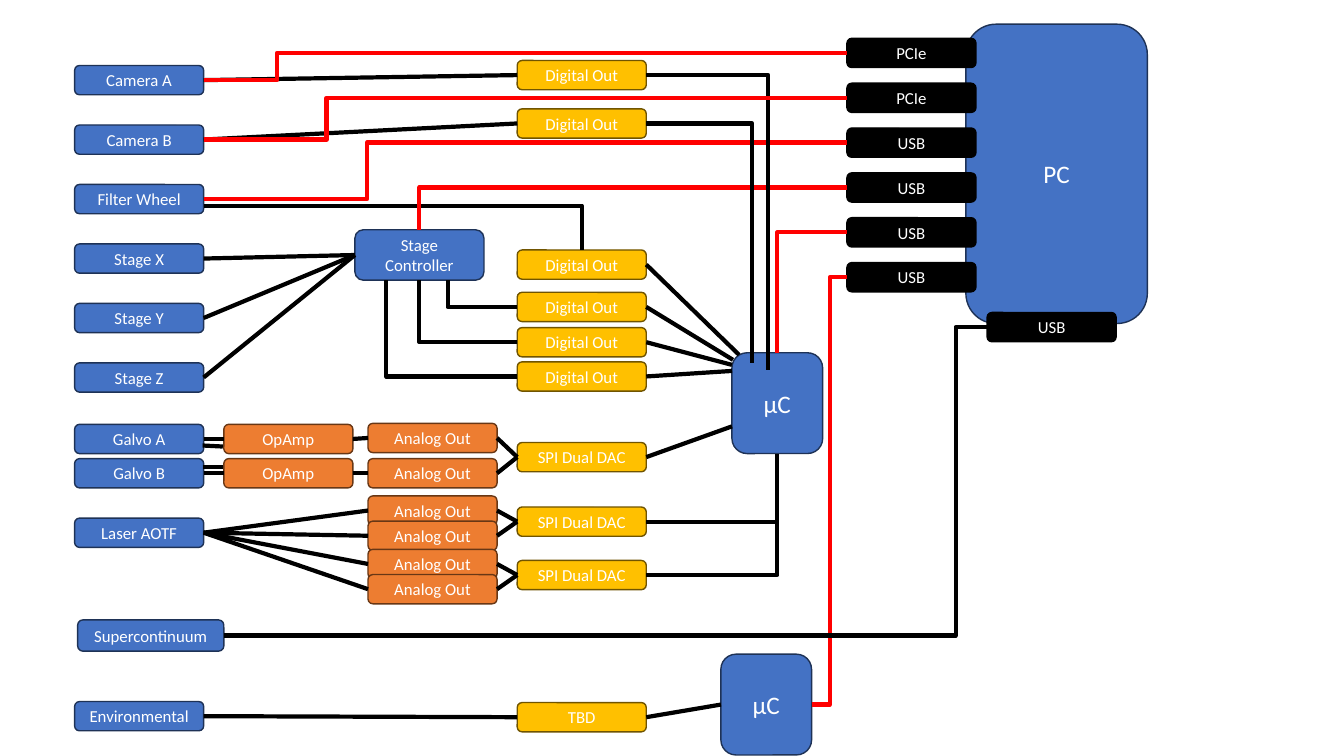
from lxml import etree
from pptx import Presentation
from pptx import util as u
from pptx.dml.color import RGBColor
from pptx.enum import shapes, text
from pptx.oxml.ns import qn

BLUE, NAVY = RGBColor(0x44, 0x72, 0xC4), RGBColor(0x1E, 0x32, 0x56)
GOLD, BROWN = RGBColor(0xFF, 0xC0, 0x00), RGBColor(0x70, 0x54, 0x00)
ORANGE, RUST = RGBColor(0xED, 0x7D, 0x31), RGBColor(0x68, 0x37, 0x15)
BLACK, WHITE = RGBColor(0, 0, 0), RGBColor(0xFF, 0xFF, 0xFF)
RED = RGBColor(0xFF, 0, 0)
FONT = "Calibri"
BOX_WIDTH, BOX_HEIGHT = 1.28, 0.29
TOP, LEFT, BOTTOM, RIGHT = range(4)

# Columns of the grid: left edges in inches
DEVICE, AMPLIFIER, ANALOG, DIGITAL, PORT = 0.74, 2.22, 3.65, 5.13, 8.4
DEVICE_TOP, DEVICE_STEP = 0.65, 0.59
PORT_TOP, PORT_STEP = 0.38, 0.445

# Text after "#" tells equal labels apart and is not shown
EVEN_COLUMNS = [
    (DEVICE, DEVICE_TOP, DEVICE_STEP, BLUE, NAVY,
     ["Camera A", "Camera B", "Filter Wheel", "Stage X", "Stage Y", "Stage Z"]),
    (PORT, PORT_TOP, PORT_STEP, BLACK, BLACK,
     ["PCIe#1", "PCIe#2", "USB#1", "USB#2", "USB#3", "USB#4"]),
]
FREE_COLUMNS = [
    (DEVICE, BLUE, NAVY, {"Galvo A": 4.21, "Galvo B": 4.55, "Laser AOTF": 5.14,
                          "Environmental": 6.96}),
    (AMPLIFIER, ORANGE, RUST, {"OpAmp#1": 4.21, "OpAmp#2": 4.55}),
    (ANALOG, ORANGE, RUST, {
        "Analog Out#1": 4.2, "Analog Out#2": 4.55, "Analog Out#3": 4.92,
        "Analog Out#4": 5.17, "Analog Out#5": 5.45, "Analog Out#6": 5.7}),
    (DIGITAL, GOLD, BROWN, {
        "Digital Out#1": 0.6, "Digital Out#2": 1.08, "Digital Out#3": 2.48,
        "Digital Out#4": 2.9, "Digital Out#5": 3.25, "Digital Out#6": 3.59,
        "SPI Dual DAC#1": 4.39, "SPI Dual DAC#2": 5.03, "SPI Dual DAC#3": 5.56,
        "TBD": 6.97}),
]
SINGLE_BOXES = {  # left, top, width, height, fill, line, text size
    "Stage Controller": (3.52, 2.28, 1.28, 0.5, BLUE, NAVY, 12),
    "Supercontinuum": (0.77, 6.15, 1.45, 0.31, BLUE, NAVY, 12),
    "µC#1": (7.26, 3.5, 0.9, 1, BLUE, NAVY, 18),
    "µC#2": (7.15, 6.49, 0.9, 1, BLUE, NAVY, 18),
    "USB#5": (9.79, 3.1, BOX_WIDTH, BOX_HEIGHT, BLACK, BLACK, 12),
}

# An end is a (box, side) pair or an (x, y) point
STRAIGHT_WIRES = [
    *[((f"Stage {axis}", RIGHT), ("Stage Controller", LEFT)) for axis in "XYZ"],
    (("Digital Out#3", RIGHT), (7.33, 3.52)),
    (("Digital Out#4", RIGHT), (7.27, 3.57)),
    (("Digital Out#5", RIGHT), (7.26, 3.62)),
    (("Digital Out#6", RIGHT), (7.26, 3.68)),
    (("SPI Dual DAC#1", RIGHT), (7.26, 4.23)),
    *[((f"Galvo {name}", RIGHT), (f"OpAmp#{i}", LEFT)) for i, name in enumerate("AB", 1)],
    *[((f"OpAmp#{i}", RIGHT), (f"Analog Out#{i}", LEFT)) for i in (1, 2)],
    *[(("Laser AOTF", RIGHT), (f"Analog Out#{i}", LEFT)) for i in range(3, 7)],
    *[((f"Analog Out#{i}", RIGHT), (f"SPI Dual DAC#{(i + 1) // 2}", LEFT)) for i in range(1, 7)],
    ((2.01, 4.42), (2.21, 4.43)),
    ((2.01, 4.63), (2.21, 4.63)),
    *[((f"Camera {name}", RIGHT), (f"Digital Out#{i}", LEFT)) for i, name in enumerate("AB", 1)],
    (("TBD", RIGHT), ("µC#2", LEFT)),
    (("Environmental", RIGHT), ("TBD", LEFT)),
]
# One corner: leaves horizontally, arrives vertically.
# Two corners: the last entry is the x of the upright part.
BENT_WIRES = [
    (("USB#3", LEFT), ("µC#1", TOP), RED, None),
    (("Digital Out#4", LEFT), (4.44, 2.78), BLACK, None),
    (("Digital Out#5", LEFT), ("Stage Controller", BOTTOM), BLACK, None),
    (("Digital Out#6", LEFT), (3.83, 2.78), BLACK, None),
    ((2.02, 2.04), ("Digital Out#3", TOP), BLACK, None),
    (("USB#2", LEFT), ("Stage Controller", TOP), RED, None),
    (("USB#1", LEFT), ("Filter Wheel", RIGHT), RED, 3.64),
    (("Digital Out#2", RIGHT), (7.46, 3.6), BLACK, None),
    (("Digital Out#1", RIGHT), (7.62, 3.67), BLACK, None),
    (("PCIe#2", LEFT), ("Camera B", RIGHT), RED, 3.24),
    (("PCIe#1", LEFT), ("Camera A", RIGHT), RED, 2.75),
    (("USB#4", LEFT), ("µC#2", RIGHT), RED, 8.23),
    (("SPI Dual DAC#2", RIGHT), ("µC#1", BOTTOM), BLACK, None),
    (("SPI Dual DAC#3", RIGHT), ("µC#1", BOTTOM), BLACK, None),
    (("Supercontinuum", RIGHT), ("USB#5", LEFT), BLACK, 9.48),
]

presentation = Presentation()
presentation.slide_width, presentation.slide_height = u.Inches(13.33), u.Inches(7.5)
slide = presentation.slides.add_slide(presentation.slide_layouts[6])
boxes = {}


def write(shape, words, size=12, color=WHITE, align=text.PP_ALIGN.CENTER):
    frame = shape.text_frame
    frame.word_wrap = True
    frame.vertical_anchor = text.MSO_ANCHOR.MIDDLE
    paragraph = frame.paragraphs[0]
    paragraph.alignment = align
    run = paragraph.add_run()
    run.text = words
    run.font.name, run.font.size = FONT, u.Pt(size)
    run.font.color.rgb = color


def add_box(key, left, top, width, height, fill, line, size=12):
    shape = slide.shapes.add_shape(shapes.MSO_SHAPE.ROUNDED_RECTANGLE,
                                   *map(u.Inches, (left, top, width, height)))
    shape.shadow.inherit = False
    shape.fill.solid()
    shape.fill.fore_color.rgb = fill
    shape.line.color.rgb = line
    shape.line.width = u.Pt(1)
    write(shape, key.split("#")[0], size=size)
    boxes[key] = shape


def locate(end):
    """Return an end's position in EMU."""
    if end[0] not in boxes:
        return u.Inches(end[0]), u.Inches(end[1])
    box, side = boxes[end[0]], end[1]
    across = {LEFT: 0, RIGHT: 1}.get(side, 0.5)
    down = {TOP: 0, BOTTOM: 1}.get(side, 0.5)
    return int(box.left + across * box.width), int(box.top + down * box.height)


def add_wire(kind, start, end, color):
    wire = slide.shapes.add_connector(kind, *locate(start), *locate(end))
    wire.line.color.rgb = color
    wire.line.width = u.Pt(3)
    etree.SubElement(wire._element.spPr, qn("a:effectLst"))
    return wire


def add_straight_wire(start, end):
    wire = add_wire(shapes.MSO_CONNECTOR.STRAIGHT, start, end, BLACK)
    for join, target in ((wire.begin_connect, start), (wire.end_connect, end)):
        if target[0] in boxes:
            join(boxes[target[0]], target[1])


def add_bent_wire(start, end, color, upright):
    wire = add_wire(shapes.MSO_CONNECTOR.ELBOW, start, end, color)
    geometry = wire._element.spPr.find(qn("a:prstGeom"))
    if upright is None:
        geometry.set("prst", "bentConnector2")
        return
    share = (u.Inches(upright) - wire.begin_x) / (wire.end_x - wire.begin_x)
    guides = geometry.find(qn("a:avLst"))
    etree.SubElement(guides, qn("a:gd"), name="adj1", fmla=f"val {round(share * 100000)}")


add_box("PC", 9.58, 0.24, 1.8, 2.97, BLUE, NAVY, 18)
for left, first, step, fill, line, keys in EVEN_COLUMNS:
    for row, key in enumerate(keys):
        add_box(key, left, first + row * step, BOX_WIDTH, BOX_HEIGHT, fill, line)
for left, fill, line, tops in FREE_COLUMNS:
    for key, top in tops.items():
        add_box(key, left, top, BOX_WIDTH, BOX_HEIGHT, fill, line)
for key, layout in SINGLE_BOXES.items():
    add_box(key, *layout)
for wire_ends in STRAIGHT_WIRES:
    add_straight_wire(*wire_ends)
for wire_ends in BENT_WIRES:
    add_bent_wire(*wire_ends)

presentation.save("out.pptx")
